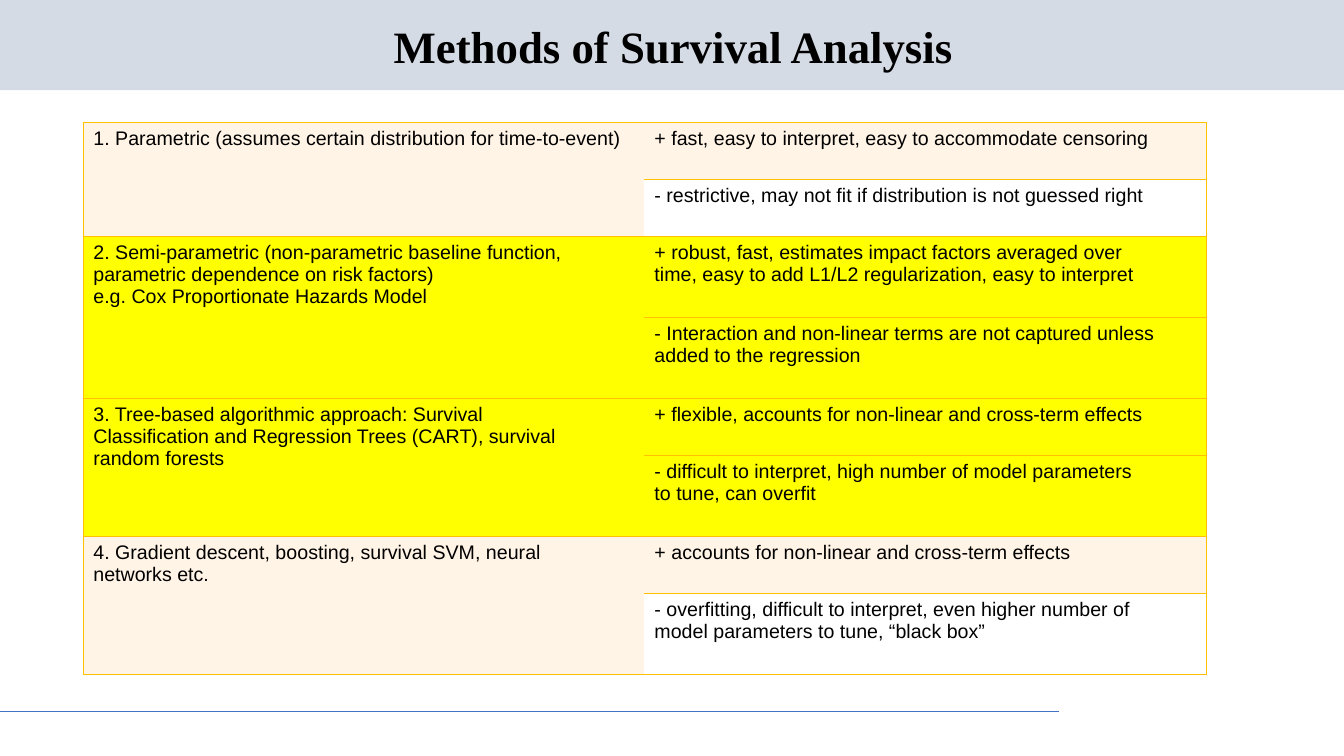
"""Build a slide with a table comparing methods of survival analysis."""
from lxml import etree
from pptx import Presentation
from pptx.dml.color import RGBColor
from pptx.enum.shapes import MSO_CONNECTOR, MSO_SHAPE
from pptx.enum.text import MSO_ANCHOR, PP_ALIGN
from pptx.oxml.ns import qn
from pptx.util import Pt

STRAIGHT = MSO_CONNECTOR.STRAIGHT
RECTANGLE = MSO_SHAPE.RECTANGLE
MIDDLE = MSO_ANCHOR.MIDDLE
CENTER = PP_ALIGN.CENTER

TITLE = "Methods of Survival Analysis"
METHODS = [
    ("1. Parametric (assumes certain distribution for time-to-event)",
     "+ fast, easy to interpret, easy to accommodate censoring",
     "- restrictive, may not fit if distribution is not guessed right", False),
    ("2. Semi-parametric (non-parametric baseline function,\v"
     "parametric dependence on risk factors)\ve.g. Cox Proportionate Hazards Model",
     "+ robust, fast, estimates impact factors averaged over\v"
     "time, easy to add L1/L2 regularization, easy to interpret",
     "- Interaction and non-linear terms are not captured unless\v"
     "added to the regression", True),
    ("3. Tree-based algorithmic approach: Survival\v"
     "Classification and Regression Trees (CART), survival\vrandom forests",
     "+ flexible, accounts for non-linear and cross-term effects",
     "- difficult to interpret, high number of model parameters\v"
     "to tune, can overfit", True),
    ("4. Gradient descent, boosting, survival SVM, neural\vnetworks etc.",
     "+ accounts for non-linear and cross-term effects",
     "- overfitting, difficult to interpret, even higher number of\v"
     "model parameters to tune, “black box”", False),
]
COLORS = {"band": "D5DBE5", "rule": "4472C4", "text": "000000", "border": "FFC000",
          "highlight": "FFFF00", "tint": "FFF4E6", "plain": "FFFFFF"}
SLIDE_WIDTH, SLIDE_HEIGHT = 960, 540
BAND_HEIGHT = 64.5
RULE_TOP, RULE_END = 508.3, 756.5
TABLE_LEFT, TABLE_TOP = 59.5, 87.5
COLUMN_WIDTHS = (400.8, 401.7)
ROW_HEIGHTS = {1: 40.75, 2: 57.8}


def color(name):
    return RGBColor.from_string(COLORS[name])


def style_runs(paragraph, size, font, bold=False):
    for run in paragraph.runs:
        run.font.size = Pt(size)
        run.font.name = font
        run.font.bold = bold
        run.font.color.rgb = color("text")


def set_borders(cell, drawn_sides):
    properties = cell._tc.get_or_add_tcPr()
    for side in "LRTB":
        line = etree.SubElement(properties, qn(f"a:ln{side}"), w=str(Pt(1)))
        if side in drawn_sides:
            fill = etree.SubElement(line, qn("a:solidFill"))
            etree.SubElement(fill, qn("a:srgbClr"), val=COLORS["border"])
        else:
            etree.SubElement(line, qn("a:noFill"))


def format_cell(cell, text, fill, sides):
    set_borders(cell, sides)
    cell.fill.solid()
    cell.fill.fore_color.rgb = color(fill)
    cell.text_frame.text = text
    for paragraph in cell.text_frame.paragraphs:
        style_runs(paragraph, 14, "Arial")


def add_header(slide):
    band = slide.shapes.add_shape(RECTANGLE, 0, 0, Pt(SLIDE_WIDTH), Pt(BAND_HEIGHT))
    band.shadow.inherit = False
    band.fill.solid()
    band.fill.fore_color.rgb = color("band")
    band.line.fill.background()

    title = slide.shapes.title
    title._element.addprevious(band._element)
    title.left, title.top, title.width, title.height = Pt(18), Pt(13.5), Pt(926), Pt(42.5)
    title.text_frame.text = TITLE
    title.text_frame.vertical_anchor = MIDDLE
    paragraph = title.text_frame.paragraphs[0]
    paragraph.alignment = CENTER
    paragraph.line_spacing = 0.9
    style_runs(paragraph, 32, "Times New Roman", bold=True)


def add_footer_rule(slide):
    rule = slide.shapes.add_connector(STRAIGHT, 0, Pt(RULE_TOP), Pt(RULE_END), Pt(RULE_TOP))
    rule.line.color.rgb = color("rule")
    rule.line.width = Pt(0.75)
    etree.SubElement(rule._element.spPr, qn("a:effectLst"))


def add_methods_table(slide):
    heights = [ROW_HEIGHTS[text.count("\v") + 1]
               for method in METHODS for text in method[1:3]]
    table = slide.shapes.add_table(
        len(heights), len(COLUMN_WIDTHS), Pt(TABLE_LEFT), Pt(TABLE_TOP),
        Pt(sum(COLUMN_WIDTHS)), Pt(sum(heights))).table
    table.first_row = False
    table.horz_banding = False
    for column, width in zip(table.columns, COLUMN_WIDTHS):
        column.width = Pt(width)
    for row, height in zip(table.rows, heights):
        row.height = Pt(height)

    for index, (method, advantage, drawback, highlighted) in enumerate(METHODS):
        top = 2 * index
        main_fill = "highlight" if highlighted else "tint"
        drawback_fill = "highlight" if highlighted else "plain"
        table.cell(top, 0).merge(table.cell(top + 1, 0))
        format_cell(table.cell(top, 0), method, main_fill, "LTB")
        format_cell(table.cell(top + 1, 0), "", main_fill, "LB")
        format_cell(table.cell(top, 1), advantage, main_fill, "RTB")
        format_cell(table.cell(top + 1, 1), drawback, drawback_fill, "RTB")


def main():
    presentation = Presentation()
    presentation.slide_width = Pt(SLIDE_WIDTH)
    presentation.slide_height = Pt(SLIDE_HEIGHT)
    slide = presentation.slides.add_slide(presentation.slide_layouts[5])
    add_header(slide)
    add_footer_rule(slide)
    add_methods_table(slide)
    presentation.save("out.pptx")


if __name__ == "__main__":
    main()
